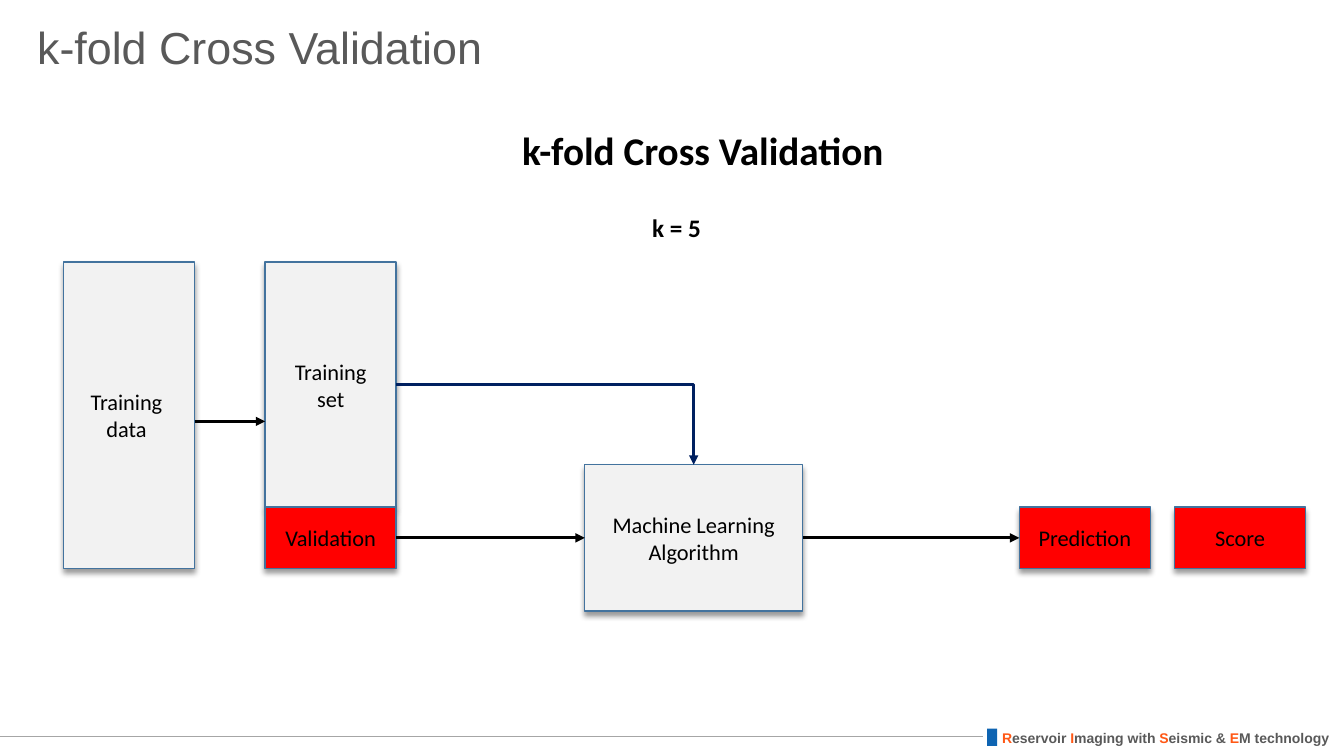
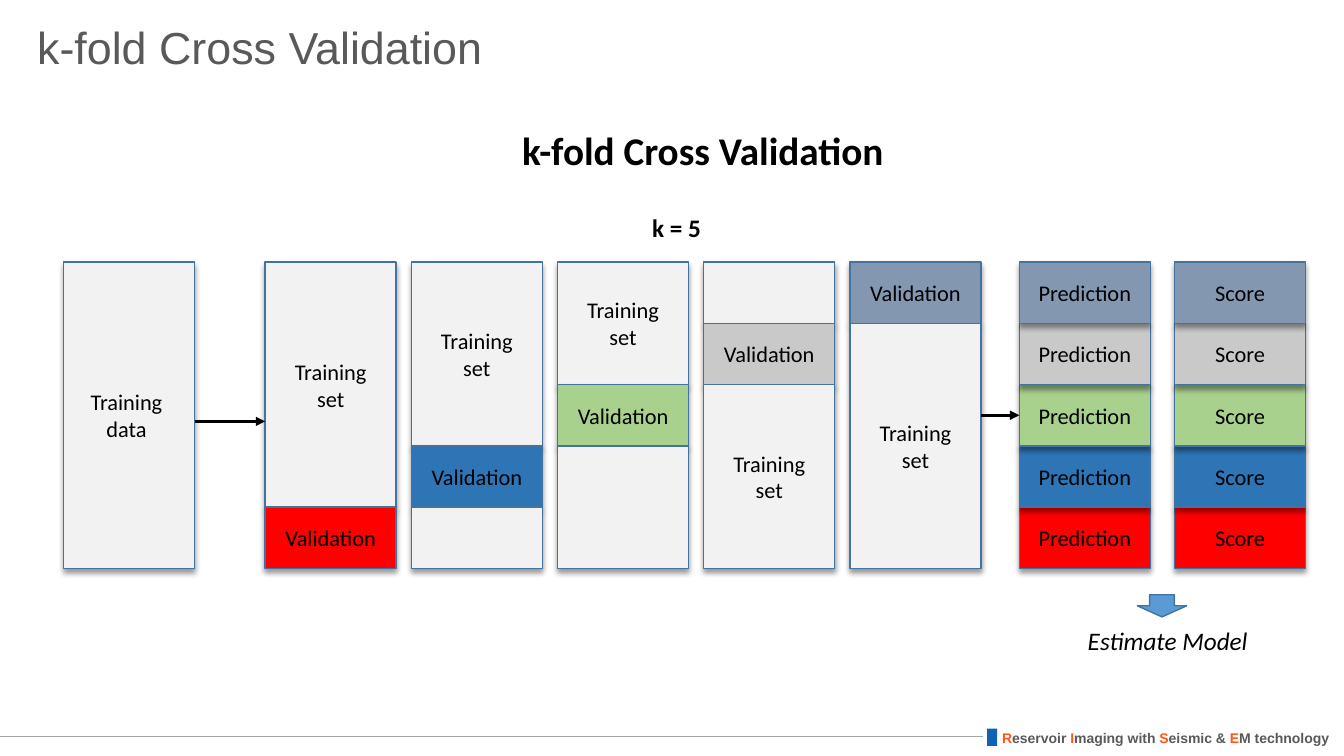
from dataclasses import dataclass
from typing import Optional

from lxml.etree import SubElement
from pptx import Presentation
from pptx.dml.color import RGBColor
from pptx.enum.shapes import MSO_CONNECTOR as Link, MSO_SHAPE as Preset
from pptx.enum.text import MSO_ANCHOR as Anchor, MSO_AUTO_SIZE as AutoSize, PP_ALIGN as Align
from pptx.oxml.ns import qn
from pptx.shapes.autoshape import Shape
from pptx.shapes.connector import Connector
from pptx.slide import Slide
from pptx.util import Inches, Pt

COLORS = {
    "black": "000000",
    "heading": "595959",
    "accent": "FF5815",
    "footer_line": "A6A6A6",
    "footer_mark": "0E64B2",
    "training": "F2F2F2",
    "outline": "43739E",
    "elbow": "002060",
    "down_arrow": "5B9BD5",
}
FOLD_COLORS = ["8497B0", "C9C9C9", "A9D18E", "2E75B6", "FF0000"]  # top row first
FOLDS = len(FOLD_COLORS)

TOP, HEIGHT, WIDTH = 2.6, 3.04, 1.3
ROW = HEIGHT / FOLDS
DATA_LEFT, FOLD_LEFT, FOLD_PITCH = 0.63, 2.63, 1.45
RESULT_LEFTS = {"Prediction": 10.11, "Score": 11.65}
DATA_ARROW_Y = 4.18
TRAINING_SET = ("Training", "set")
TOP_SIDE, LEFT_SIDE, RIGHT_SIDE = 0, 1, 3


@dataclass
class Span:
    text: str
    size: float = 16
    color: str = COLORS["black"]
    font: str = "Calibri"
    bold: bool = False
    italic: bool = False


@dataclass
class Block:
    left: float
    top: float
    width: float
    height: float
    fill: str
    lines: tuple[str, ...] = ()


@dataclass
class Label:
    left: float
    top: float
    width: float
    height: float
    spans: list[Span]
    wrap: bool = True
    grow: bool = True


FOOTER = Label(9.84, 7.19, 3.48, 0.27, [
    Span(text, 10, COLORS[color], "Arial", bold=True)
    for initial, rest in [("R", "eservoir "), ("I", "maging with "),
                          ("S", "eismic & "), ("E", "M technology")]
    for text, color in [(initial, "accent"), (rest, "heading")]
], wrap=False)
TITLE = Label(0.27, 0.13, 11.5, 0.73,
              [Span("k-fold Cross Validation", 32, COLORS["heading"], "Arial")], grow=False)
SUBTITLE = Label(5.08, 1.2, 4.37, 0.57, [Span("k-fold Cross Validation", 28, bold=True)])
FOLD_COUNT = Label(6.37, 2.06, 0.69, 0.4, [Span("k = 5", 18, bold=True)], wrap=False)
ESTIMATE = Label(10.69, 6.15, 2.16, 0.71, [Span("Estimate Model", 18, italic=True)])


def rgb(color: str) -> RGBColor:
    return RGBColor.from_string(color)


def add_span(para, span: Span) -> None:
    run = para.add_run()
    run.text = span.text
    font = run.font
    font.name, font.size = span.font, Pt(span.size)
    font.bold, font.italic = span.bold, span.italic
    font.color.rgb = rgb(span.color)


def add_label(page: Slide, label: Label) -> Shape:
    box = page.shapes.add_textbox(Inches(label.left), Inches(label.top),
                                  Inches(label.width), Inches(label.height))
    frame = box.text_frame
    frame.word_wrap = label.wrap
    frame.auto_size = AutoSize.SHAPE_TO_FIT_TEXT if label.grow else AutoSize.NONE
    for span in label.spans:
        add_span(frame.paragraphs[0], span)
    return box


def add_preset(page: Slide, preset: Preset, left: float, top: float, width: float,
               height: float, fill: str, outline: Optional[str] = None) -> Shape:
    shape = page.shapes.add_shape(preset, Inches(left), Inches(top),
                                  Inches(width), Inches(height))
    shape.shadow.inherit = False
    shape.fill.solid()
    shape.fill.fore_color.rgb = rgb(fill)
    if outline:
        shape.line.color.rgb = rgb(outline)
        shape.line.width = Pt(1)
    else:
        shape.line.fill.background()
    return shape


def add_drop_shadow(shape: Shape) -> None:
    effects = shape._element.spPr.find(qn("a:effectLst"))
    shadow = SubElement(effects, qn("a:outerShdw"), blurRad=str(Pt(4)), dist=str(Pt(3)),
                        dir=str(90 * 60000), algn="t", rotWithShape="0")
    color = SubElement(shadow, qn("a:srgbClr"), val=COLORS["black"])
    SubElement(color, qn("a:alpha"), val="40000")


def add_block(page: Slide, block: Block) -> Shape:
    """Draw a shadowed box with one centred paragraph per line."""
    shape = add_preset(page, Preset.RECTANGLE, block.left, block.top, block.width,
                       block.height, block.fill, COLORS["outline"])
    add_drop_shadow(shape)
    frame = shape.text_frame
    frame.word_wrap = True
    frame.vertical_anchor = Anchor.MIDDLE
    for index, line in enumerate(block.lines):
        para = frame.add_paragraph() if index else frame.paragraphs[0]
        para.alignment = Align.CENTER
        add_span(para, Span(line))
    return shape


def add_rows(page: Slide, left: float, first: int, count: int, fill: str,
             lines: tuple[str, ...] = ()) -> Shape:
    """Draw a block that covers whole rows of the fold grid."""
    return add_block(page, Block(left, TOP + first * ROW, WIDTH, count * ROW, fill, lines))


def add_line(page: Slide, start: tuple[float, float], end: tuple[float, float],
             color: str, width: float, kind: Link = Link.STRAIGHT) -> Connector:
    line = page.shapes.add_connector(kind, Inches(start[0]), Inches(start[1]),
                                     Inches(end[0]), Inches(end[1]))
    line.line.color.rgb = rgb(color)
    line.line.width = Pt(width)
    SubElement(line._element.spPr, qn("a:effectLst"))
    return line


def add_arrow(page: Slide, start: tuple[float, float], end: tuple[float, float],
              color: str = COLORS["black"], kind: Link = Link.STRAIGHT) -> Connector:
    arrow = add_line(page, start, end, color, 2.25, kind)
    SubElement(arrow._element.spPr.find(qn("a:ln")), qn("a:tailEnd"), type="triangle")
    return arrow


def join(page: Slide, source: Shape, target: Shape) -> None:
    """Point an arrow from the right side of one block to the left side of another."""
    arrow = add_arrow(page, (0, 0), (1, 0))
    arrow.begin_connect(source, RIGHT_SIDE)
    arrow.end_connect(target, LEFT_SIDE)


def join_by_elbow(page: Slide, source: Shape, target: Shape) -> None:
    """Lead an arrow right from one block, then down onto the top of another."""
    arrow = add_arrow(page, (0, 0), (1, 1), COLORS["elbow"], Link.ELBOW)
    arrow._element.spPr.find(qn("a:prstGeom")).set("prst", "bentConnector2")
    arrow.begin_connect(source, RIGHT_SIDE)
    arrow.end_connect(target, TOP_SIDE)


def add_fold(page: Slide, fold: int) -> list[Shape]:
    """Draw one fold's column, with its validation row one step higher each time."""
    left = FOLD_LEFT + fold * FOLD_PITCH
    above, below = FOLDS - 1 - fold, fold
    upper_text, lower_text = (TRAINING_SET, ()) if above >= below else ((), TRAINING_SET)
    parts = [
        (0, above, COLORS["training"], upper_text),
        (above, 1, FOLD_COLORS[above], ("Validation",)),
        (above + 1, below, COLORS["training"], lower_text),
    ]
    return [add_rows(page, left, *part) for part in parts if part[1]]


def add_result(page: Slide, name: str, row: int) -> Shape:
    return add_rows(page, RESULT_LEFTS[name], row, 1, FOLD_COLORS[row], (name,))


def start_page(deck) -> Slide:
    """Add a slide with the footer, headings and training data that all slides share."""
    page = deck.slides.add_slide(deck.slide_layouts[6])
    add_label(page, FOOTER)
    add_line(page, (9.75, 7.31), (0, 7.31), COLORS["footer_line"], 0.5)
    add_preset(page, Preset.RECTANGLE, 9.79, 7.23, 0.1, 0.17, COLORS["footer_mark"])
    title = add_label(page, TITLE)
    title.text_frame.vertical_anchor = Anchor.MIDDLE
    title.text_frame.paragraphs[0].line_spacing = 0.9
    add_label(page, SUBTITLE)
    add_label(page, FOLD_COUNT)
    add_rows(page, DATA_LEFT, 0, FOLDS, COLORS["training"], ("Training ", "data "))
    return page


def add_data_arrow(page: Slide) -> None:
    add_arrow(page, (DATA_LEFT + WIDTH, DATA_ARROW_Y), (FOLD_LEFT, DATA_ARROW_Y))


def build_first_fold(deck) -> None:
    page = start_page(deck)
    training, validation = add_fold(page, 0)
    last = FOLDS - 1
    prediction, _ = [add_result(page, name, last) for name in RESULT_LEFTS]
    height = 1.45
    top = TOP + (last + 0.5) * ROW - height / 2
    algorithm = add_block(page, Block(5.8, top, 2.16, height, COLORS["training"],
                                      ("Machine Learning Algorithm",)))
    add_data_arrow(page)
    join(page, validation, algorithm)
    join(page, algorithm, prediction)
    join_by_elbow(page, training, algorithm)


def build_all_folds(deck) -> None:
    page = start_page(deck)
    for fold in range(FOLDS):
        add_fold(page, fold)
    predictions = {}
    for row in reversed(range(FOLDS)):
        predictions[row] = add_result(page, "Prediction", row)
        add_result(page, "Score", row)
    add_data_arrow(page)
    middle = TOP + HEIGHT / 2
    folds_right = FOLD_LEFT + (FOLDS - 1) * FOLD_PITCH + WIDTH
    arrow = add_arrow(page, (folds_right, middle), (RESULT_LEFTS["Prediction"], middle))
    arrow.end_connect(predictions[FOLDS // 2], LEFT_SIDE)
    add_preset(page, Preset.DOWN_ARROW, 11.28, 5.9, 0.49, 0.22,
               COLORS["down_arrow"], COLORS["outline"])
    add_label(page, ESTIMATE)


def main() -> None:
    deck = Presentation()
    deck.slide_width, deck.slide_height = Inches(13.33), Inches(7.5)
    build_first_fold(deck)
    build_all_folds(deck)
    deck.save("out.pptx")


if __name__ == "__main__":
    main()
